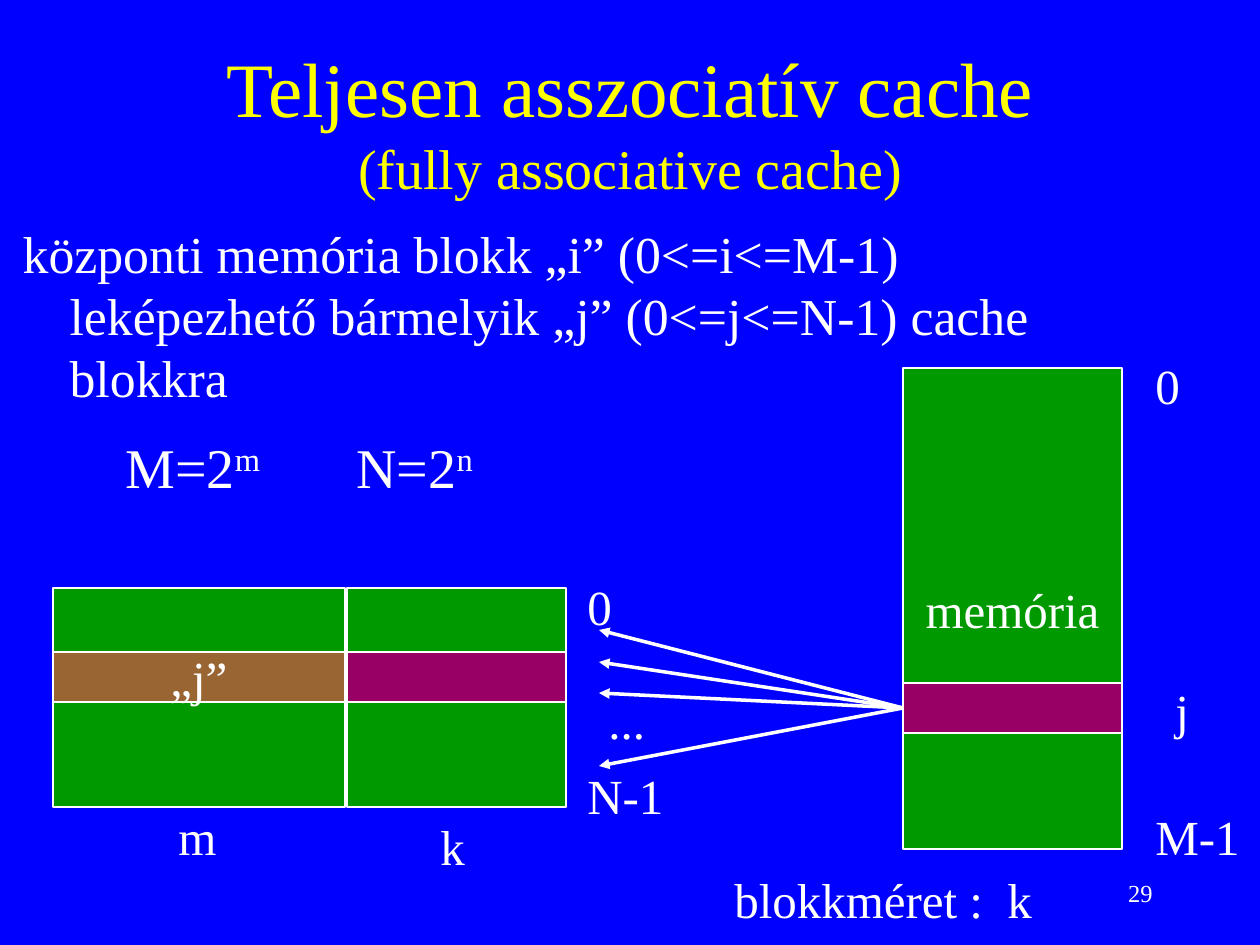
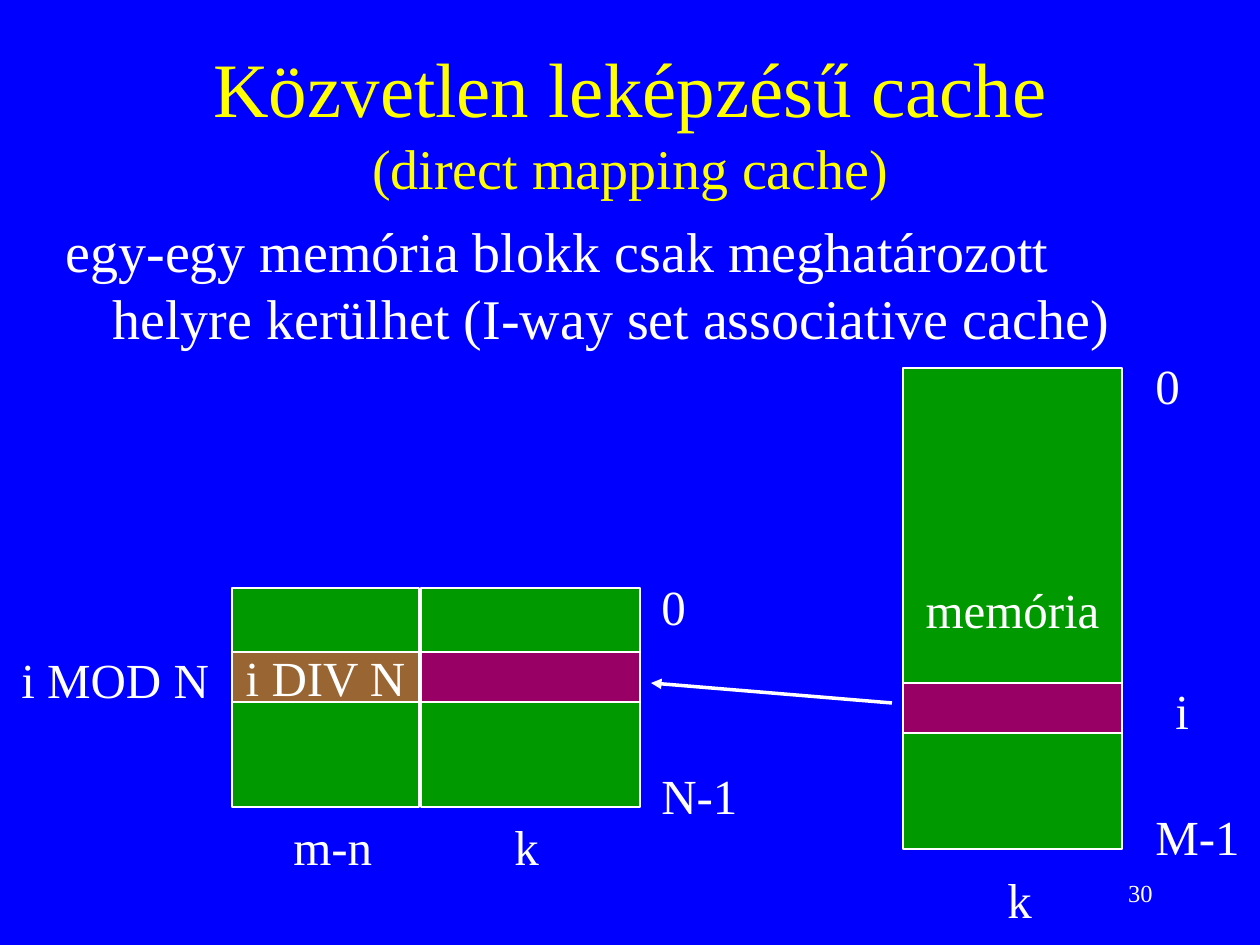
from dataclasses import dataclass
from lxml.etree import SubElement
from pptx import Presentation
from pptx.dml.color import RGBColor
from pptx.enum.shapes import MSO_CONNECTOR, MSO_SHAPE
from pptx.enum.text import MSO_ANCHOR, MSO_AUTO_SIZE, PP_ALIGN
from pptx.oxml.ns import qn
from pptx.util import Emu, Pt


@dataclass(frozen=True)
class Theme:
    font: str = "Times New Roman"
    background: RGBColor = RGBColor(0x00, 0x00, 0xFF)
    title: RGBColor = RGBColor(0xFF, 0xFF, 0x00)
    text: RGBColor = RGBColor(0xFF, 0xFF, 0xFF)
    storage: RGBColor = RGBColor(0x00, 0x99, 0x00)
    block: RGBColor = RGBColor(0x99, 0x00, 0x66)
    tag: RGBColor = RGBColor(0x99, 0x66, 0x33)
    title_size: float = 44
    large_size: float = 32
    label_size: float = 28
    number_size: float = 14


# Pixel scale and the geometry both diagrams share
EMU_PER_PX = 914400 / 126
MEMORY_LEFT, MEMORY_TOP, MEMORY_HEIGHT = 903, 368, 481
MEMORY_BLOCK_TOP = 683
CACHE_TOP, CACHE_BLOCK_TOP = 588, 652
DATA_WIDTH, CACHE_HEIGHT, BLOCK_HEIGHT = 219, 219, 50
LABEL_HEIGHT = 72


def px(*lengths):
    return [Emu(round(length * EMU_PER_PX)) for length in lengths]


class Deck:
    def __init__(self, theme):
        self.theme = theme
        self.presentation = Presentation()
        self.presentation.slide_width, self.presentation.slide_height = px(1260, 945)
        fill = self.presentation.slide_master.background.fill
        fill.solid()
        fill.fore_color.rgb = theme.background
        self.slide = None

    def format(self, paragraph, size, color=None, align=PP_ALIGN.LEFT):
        paragraph.alignment = align
        paragraph.space_before = Pt(0)
        paragraph.font.name = self.theme.font
        paragraph.font.size = Pt(size)
        paragraph.font.color.rgb = color or self.theme.text

    def place(self, shape, box, anchor):
        shape.left, shape.top, shape.width, shape.height = px(*box)
        shape.text_frame.auto_size = MSO_AUTO_SIZE.NONE
        shape.text_frame.word_wrap = True
        shape.text_frame.vertical_anchor = anchor

    def start_slide(self, title, subtitle, number):
        layout = self.presentation.slide_layouts[1]
        self.slide = self.presentation.slides.add_slide(layout)
        shape = self.slide.shapes.title
        self.place(shape, (95, 42, 1071, 157), MSO_ANCHOR.MIDDLE)
        paragraph = shape.text_frame.paragraphs[0]
        heading = paragraph.add_run()
        heading.text = title
        paragraph.add_line_break()
        translation = paragraph.add_run()
        translation.text = subtitle
        self.format(paragraph, self.theme.title_size, self.theme.title, PP_ALIGN.CENTER)
        translation.font.size = Pt(self.theme.large_size)
        self.label(str(number), 903, 861, 262, 63, self.theme.number_size,
                   align=PP_ALIGN.RIGHT, anchor=MSO_ANCHOR.MIDDLE)

    def body(self, text, box, size, anchor):
        shape = self.slide.placeholders[1]
        self.place(shape, box, anchor)
        paragraph = shape.text_frame.paragraphs[0]
        paragraph.text = text
        properties = paragraph._p.get_or_add_pPr()
        indent = px(47)[0]
        properties.set("marL", str(indent))
        properties.set("indent", str(-indent))
        SubElement(properties, qn("a:buNone"))
        self.format(paragraph, size)

    def label(self, text, left, top, width, height=LABEL_HEIGHT, size=None,
              superscript="", align=PP_ALIGN.LEFT, anchor=MSO_ANCHOR.TOP):
        shape = self.slide.shapes.add_textbox(*px(left, top, width, height))
        shape.text_frame.word_wrap = True
        shape.text_frame.vertical_anchor = anchor
        paragraph = shape.text_frame.paragraphs[0]
        paragraph.add_run().text = text
        if superscript:
            run = paragraph.add_run()
            run.text = superscript
            run._r.get_or_add_rPr().set("baseline", "30000")
        self.format(paragraph, size or self.theme.label_size, align=align)

    def rectangle(self, left, top, width, height, color, text=""):
        shape = self.slide.shapes.add_shape(
            MSO_SHAPE.RECTANGLE, *px(left, top, width, height))
        shape.shadow.inherit = False
        shape.fill.solid()
        shape.fill.fore_color.rgb = color
        shape.line.color.rgb = self.theme.text
        shape.line.width = Pt(1)
        if text:
            frame = shape.text_frame
            frame.word_wrap = False
            frame.vertical_anchor = MSO_ANCHOR.MIDDLE
            frame.text = text
            self.format(frame.paragraphs[0], self.theme.label_size, align=PP_ALIGN.CENTER)
        return shape

    def arrow(self, start, end, source=None):
        connector = self.slide.shapes.add_connector(
            MSO_CONNECTOR.STRAIGHT, *px(*start, *end))
        connector.line.color.rgb = self.theme.text
        connector.line.width = Pt(2)
        SubElement(connector.line._get_or_add_ln(), qn("a:tailEnd"), type="triangle")
        SubElement(connector._element.spPr, qn("a:effectLst"))
        if source is not None:
            connector.begin_connect(source, 1)

    def memory(self, block_name):
        """Main memory with one marked block; returns that block."""
        self.rectangle(MEMORY_LEFT, MEMORY_TOP, DATA_WIDTH, MEMORY_HEIGHT,
                       self.theme.storage, "memória")
        block = self.rectangle(MEMORY_LEFT, MEMORY_BLOCK_TOP, DATA_WIDTH,
                               BLOCK_HEIGHT, self.theme.block)
        self.label("0", 1143, 349, 50)
        self.label("M-1", 1143, 800, 110)
        self.label(block_name, 1163, 674, 40)
        self.label("k", 995, 863, 44)
        return block

    def cache(self, tag_left, tag_width, data_left, tag_text):
        """Tag and data columns, each with one marked block."""
        columns = ((data_left, DATA_WIDTH, self.theme.block, ""),
                   (tag_left, tag_width, self.theme.tag, tag_text))
        for left, width, color, text in columns:
            self.rectangle(left, CACHE_TOP, width, CACHE_HEIGHT, self.theme.storage)
            self.rectangle(left, CACHE_BLOCK_TOP, width, BLOCK_HEIGHT, color, text)
        index_left = data_left + 228
        self.label("0", index_left, 570, 50)
        self.label("N-1", index_left, 759, 102)
        self.label("k", data_left + 81, 810, 44)


def fully_associative(deck):
    deck.start_slide("Teljesen asszociatív cache", "(fully associative cache)", 29)
    deck.body("központi memória blokk „i” (0<=i<=M-1) leképezhető bármelyik "
              "„j” (0<=j<=N-1) cache blokkra",
              (10, 208, 1071, 214), 29.6, MSO_ANCHOR.MIDDLE)
    for base, exponent, left, width in (("M=2", "m", 113, 164), ("N=2", "n", 344, 144)):
        deck.label(base, left, 426, width, 79, deck.theme.large_size, exponent)
    block = deck.memory("j")
    deck.cache(53, 292, 347, "„j”")
    deck.label("m", 166, 800, 63)
    deck.label("...", 596, 684, 64)
    deck.label("blokkméret :", 722, 863, 278)
    # The memory block may go to any cache block
    for target in (630, 662, 693, 766):
        deck.arrow((MEMORY_LEFT, 708), (599, target), block)


def direct_mapping(deck):
    deck.start_slide("Közvetlen leképzésű cache", "(direct mapping cache)", 30)
    deck.body("egy-egy memória blokk csak meghatározott helyre kerülhet "
              "(I-way set associative cache)",
              (53, 210, 1071, 147), deck.theme.large_size, MSO_ANCHOR.TOP)
    deck.memory("i")
    deck.cache(232, 187, 421, "i DIV N")
    deck.label("i MOD N", 9, 643, 216)
    deck.label("m-n", 281, 810, 107)
    # The memory block has a single place in the cache
    deck.arrow((892, 703), (651, 683))


def main():
    deck = Deck(Theme())
    fully_associative(deck)
    direct_mapping(deck)
    deck.presentation.save("out.pptx")


if __name__ == "__main__":
    main()
